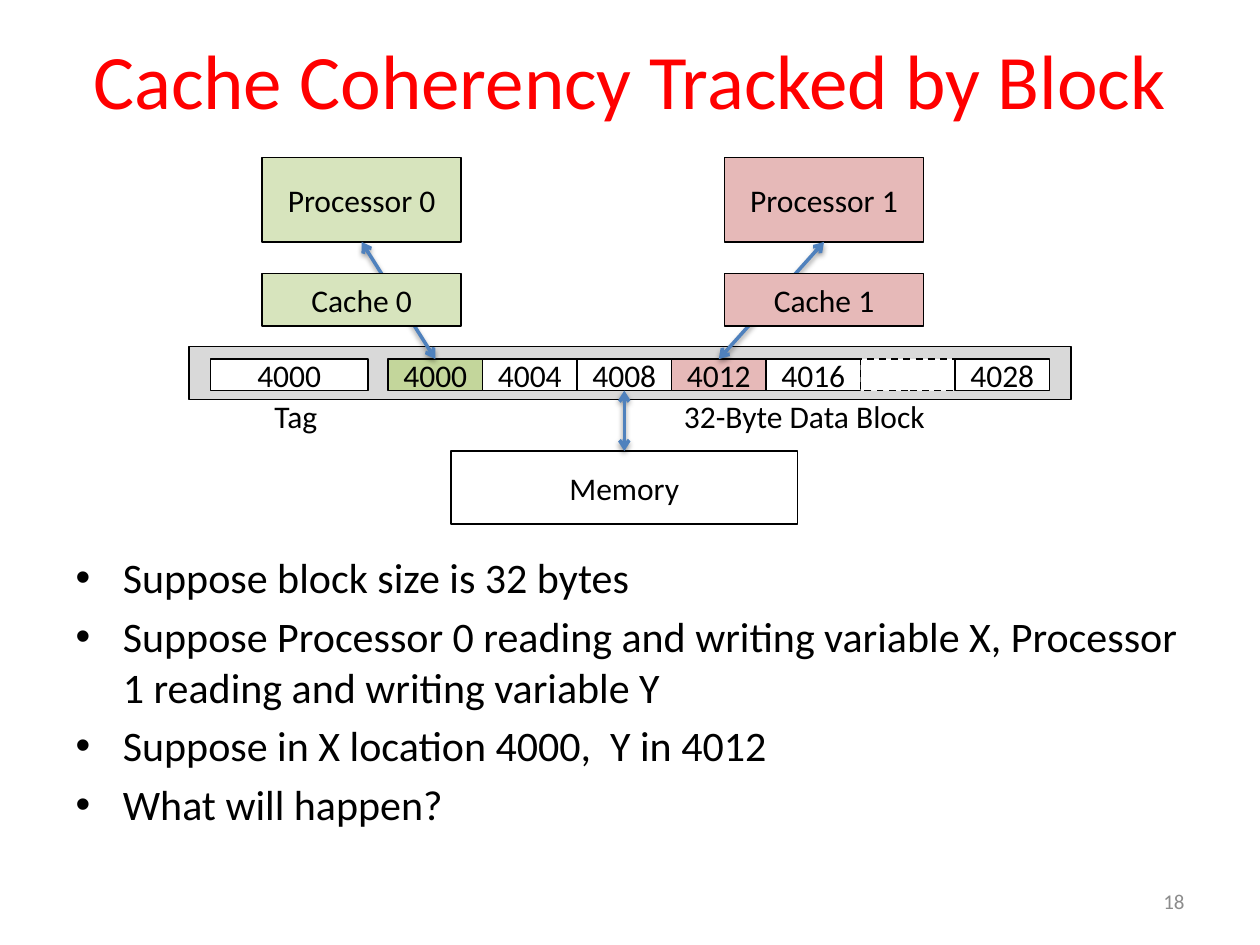
"""Build the slide on cache coherency tracked by block."""
from lxml import etree
from pptx import Presentation
from pptx.dml.color import RGBColor
from pptx.enum.dml import MSO_LINE
from pptx.enum.shapes import MSO_CONNECTOR, MSO_SHAPE
from pptx.enum.text import MSO_ANCHOR, PP_ALIGN
from pptx.oxml.ns import qn
from pptx.util import Inches, Pt

TITLE = "Cache Coherency Tracked by Block"
BULLETS = [
    "Suppose block size is 32 bytes",
    "Suppose Processor 0 reading and writing variable X, "
    "Processor 1 reading and writing variable Y",
    "Suppose in X location 4000,  Y in 4012",
    "What will happen?",
]
WHITE, BLACK, GREY = "FFFFFF", "000000", "D9D9D9"
GREEN, DARK_GREEN, PINK, BLUE = "D7E4BD", "C3D69B", "E6B9B8", "4F81BD"
CORES = [(2.08, GREEN, 0), (5.75, PINK, 4 - 1)]
WORDS = ["4000", "4004", "4008", "4012", "4016", "", "4028"]
WORD_FILLS = {0: DARK_GREEN, 3: PINK}
LABELS = [("Tag", 2.08, 0.54), ("32-Byte Data Block", 5.33, 2.14)]

CORE_W, CORE_Y, CORE_H = 1.58, 1.25, 0.67
CACHE_Y, CACHE_H = 2.17, 0.42
WORD_X, WORD_Y, WORD_W, WORD_H = 3.08, 2.85, 0.75, 0.25
MEMORY = (3.58, 3.58, 2.75, 0.58)


def rgb(value):
    return RGBColor.from_string(value)


def style(r, size, color=BLACK):
    for name, value in {"name": "Calibri", "size": Pt(size)}.items():
        setattr(r.font, name, value)
    r.font.color.rgb = rgb(color)


def place(sp, x, y, w, h):
    for name, value in {"left": x, "top": y, "width": w, "height": h}.items():
        setattr(sp, name, Inches(value))


def write(tf, text, size=18, color=BLACK, align=PP_ALIGN.CENTER):
    p = tf.paragraphs[0]
    p.alignment = align
    r = p.add_run()
    r.text = text
    style(r, size, color)


def add_box(x, y, w, h, text="", fill=WHITE):
    sp = slide.shapes.add_shape(
        MSO_SHAPE.RECTANGLE, Inches(x), Inches(y), Inches(w), Inches(h))
    sp.shadow.inherit = False
    sp.fill.solid()
    sp.fill.fore_color.rgb = rgb(fill)
    sp.line.color.rgb = rgb(BLACK)
    sp.line.width = Pt(1)
    sp.text_frame.vertical_anchor = MSO_ANCHOR.MIDDLE
    if text:
        write(sp.text_frame, text)
    return sp


def add_text(x, y, w, h, text, wrap=False, **formats):
    tf = slide.shapes.add_textbox(
        Inches(x), Inches(y), Inches(w), Inches(h)).text_frame
    tf.word_wrap = wrap
    write(tf, text, **formats)
    return tf


def add_arrow(x1, y1, x2, y2):
    cn = slide.shapes.add_connector(
        MSO_CONNECTOR.STRAIGHT, Inches(x1), Inches(y1), Inches(x2), Inches(y2))
    cn.line.color.rgb = rgb(BLUE)
    cn.line.width = Pt(2)
    sp_pr = cn.line._get_or_add_ln().getparent()
    for end in ("a:headEnd", "a:tailEnd"):
        etree.SubElement(sp_pr.find(qn("a:ln")), qn(end), type="arrow")
    effects = etree.SubElement(sp_pr, qn("a:effectLst"))
    shadow = etree.SubElement(
        effects, qn("a:outerShdw"), blurRad=str(Pt(3.1)), dist=str(Pt(1.6)),
        dir="5400000", rotWithShape="0")
    color = etree.SubElement(shadow, qn("a:srgbClr"), val=BLACK)
    etree.SubElement(color, qn("a:alpha"), val="38000")


prs = Presentation()
prs.slide_width, prs.slide_height = Inches(10), Inches(7.5)
slide = prs.slides.add_slide(prs.slide_layouts[1])

title, body = slide.placeholders
place(title, 0.5, 0, 9, 1.25)
title.text_frame.vertical_anchor = MSO_ANCHOR.MIDDLE
write(title.text_frame, TITLE, 44, "FF0000")

place(body, 0.5, 4.33, 9, 2.52)
body.text_frame.text = "\n".join(BULLETS)
for p in body.text_frame.paragraphs:
    style(p.runs[0], 24)

number = add_text(7.17, 6.95, 2.33, 0.4, "18", wrap=True, size=12,
                  color="8C8C8C", align=PP_ALIGN.RIGHT)
number.vertical_anchor = MSO_ANCHOR.MIDDLE

add_box(1.5, 2.75, 7, 0.42, fill=GREY)
add_box(1.67, WORD_Y, 1.25, WORD_H, "4000")
for i, word in enumerate(WORDS):
    sp = add_box(WORD_X + i * WORD_W, WORD_Y, WORD_W, WORD_H, word,
                 WORD_FILLS.get(i, WHITE))
    if not word:
        sp.line.dash_style = MSO_LINE.DASH
for text, x, w in LABELS:
    add_text(x, WORD_Y + WORD_H, w, 0.4, text, align=PP_ALIGN.LEFT)

for i, (x, fill, word) in enumerate(CORES):
    add_box(x, CORE_Y, CORE_W, CORE_H, f"Processor {i}", fill)
    add_arrow(x + CORE_W / 2, CORE_Y + CORE_H,
              WORD_X + (word + 0.5) * WORD_W, WORD_Y)
    add_box(x, CACHE_Y, CORE_W, CACHE_H, f"Cache {i}", fill)

add_box(*MEMORY, "Memory")
memory_x = MEMORY[0] + MEMORY[2] / 2
add_arrow(memory_x, WORD_Y + WORD_H, memory_x, MEMORY[1])

prs.save("out.pptx")
